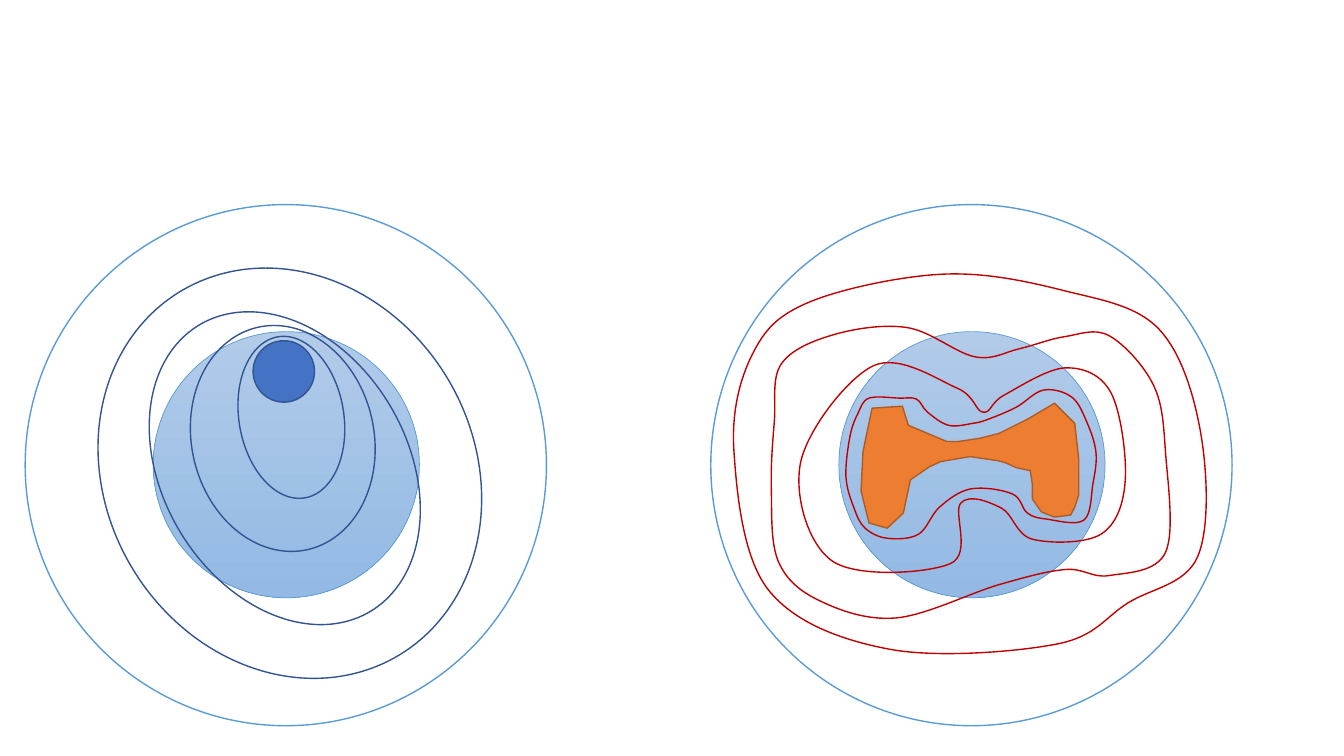
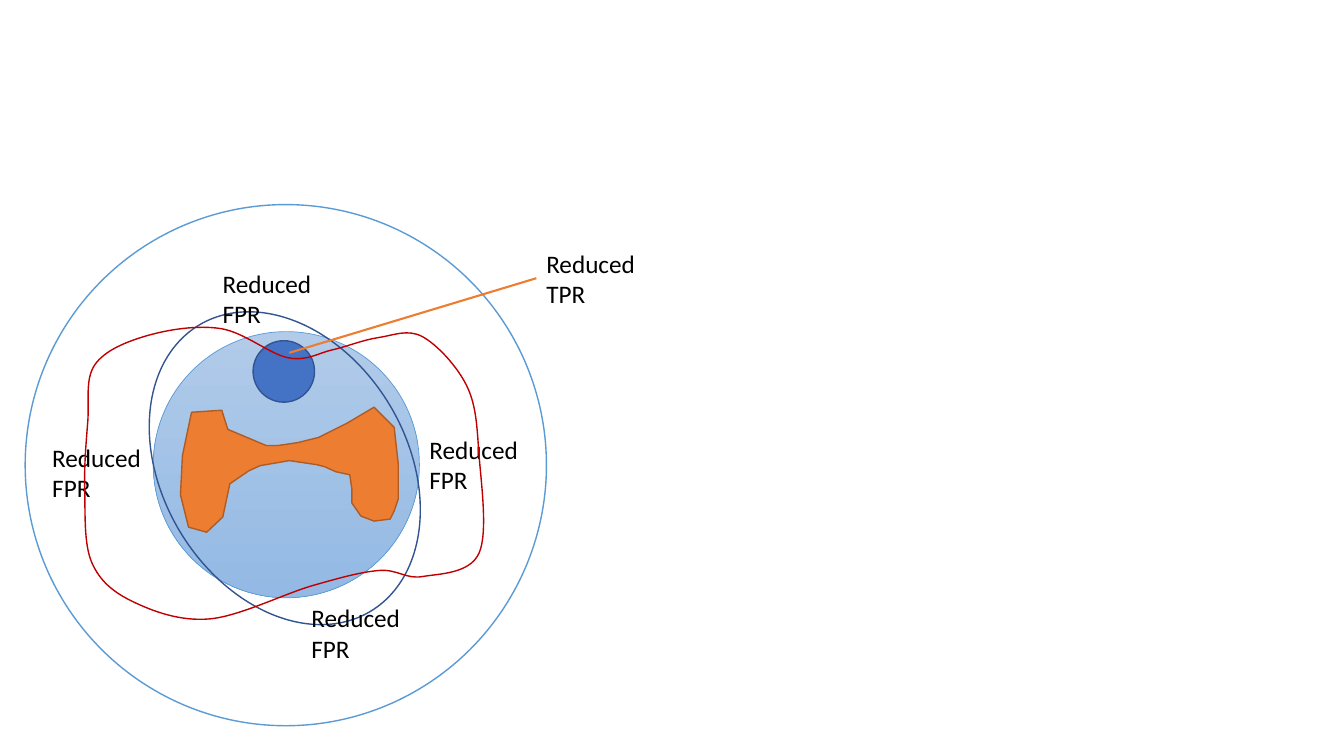
import pptx
import pptx.dml.color
import pptx.enum.shapes
import pptx.enum.text
import pptx.oxml.ns
import pptx.util
import lxml.etree

PX = 9144  # EMU per px, 100 px to the inch

THEME = {
    "looks": {
        "field": {"fill": "FFFFFF", "line": "5B9BD5", "width": 1},
        "cord": {"fill": ("B1CBE9", "93B9E4"), "line": "5B9BD5", "width": 0.5},
        "ellipse": {"fill": None, "line": "325491", "width": 1},
        "target": {"fill": "4472C4", "line": "325491", "width": 1},
        "grey_matter": {"fill": "ED7D31", "line": "AF5C24", "width": 1},
        "contour": {"fill": None, "line": "C00000", "width": 1},
    },
    "pointer": {"line": "ED7D31", "width": 1.5},
    "label": {"name": "Calibri", "size": pptx.util.Pt(18)},
    "label_color": "000000",
}


def paint(shape, look):
    """Give a shape its fill and outline."""
    shape.shadow.inherit = False
    fill = look["fill"]
    if fill is None:
        shape.fill.background()
    elif isinstance(fill, tuple):
        shape.fill.gradient()
        shape.fill.gradient_angle = 270
        for stop, position, color in zip(shape.fill.gradient_stops, (0, 1), fill):
            stop.position = position
            stop.color.rgb = pptx.dml.color.RGBColor.from_string(color)
    else:
        shape.fill.solid()
        shape.fill.fore_color.rgb = pptx.dml.color.RGBColor.from_string(fill)
    shape.line.color.rgb = pptx.dml.color.RGBColor.from_string(look["line"])
    shape.line.width = pptx.util.Pt(look["width"])


def bend(shape):
    """Turn the straight sides of a closed freeform into one smooth curve."""
    name = pptx.oxml.ns.qn
    outline = next(shape._element.iter(name("a:path")))
    anchors = [(int(point.get("x")), int(point.get("y"))) for point in outline.iter(name("a:pt"))]
    for side in outline.findall(name("a:lnTo")):
        outline.remove(side)
    closing = outline.find(name("a:close"))
    count = len(anchors)
    for index in range(count):
        before, start, end, after = (anchors[(index + step) % count] for step in (-1, 0, 1, 2))
        leaving = [b + (c - a) / 6 for a, b, c in zip(before, start, end)]
        arriving = [c - (d - b) / 6 for b, c, d in zip(start, end, after)]
        curve = lxml.etree.Element(name("a:cubicBezTo"))
        for x, y in (leaving, arriving, end):
            lxml.etree.SubElement(curve, name("a:pt"), x=str(round(x)), y=str(round(y)))
        closing.addprevious(curve)


# Outlines, in px
grey_matter = [
    (856, 448), (865, 405), (895, 403), (901, 422), (939, 438), (951, 438), (971, 435),
    (991, 430), (1019, 416), (1046, 400), (1066, 420), (1070, 456), (1070, 491),
    (1066, 503), (1062, 511), (1046, 513), (1033, 508), (1024, 495), (1024, 481),
    (1022, 467), (1008, 464), (997, 459), (989, 457), (962, 453), (933, 458), (922, 463),
    (903, 476), (896, 509), (880, 524), (862, 519), (854, 487),
]
tight_contour = [
    (941, 422), (920, 409), (909, 396), (892, 395), (862, 395), (851, 410), (843, 433),
    (839, 473), (847, 504), (858, 524), (880, 534), (911, 530), (932, 503), (963, 485),
    (1004, 490), (1019, 509), (1038, 515), (1075, 516), (1084, 480), (1087, 449),
    (1078, 419), (1063, 394), (1035, 387), (1008, 404), (980, 416), (965, 420),
]
near_contour = [
    (949, 385), (866, 363), (794, 459), (826, 557), (943, 559), (953, 499), (993, 504),
    (1024, 535), (1092, 530), (1116, 477), (1102, 390), (1057, 365), (996, 392), (975, 409),
]
wide_contour = [
    (967, 354), (900, 325), (827, 332), (775, 361), (768, 418), (765, 485), (772, 557),
    (813, 596), (889, 613), (991, 580), (1057, 565), (1100, 571), (1156, 548),
    (1156, 449), (1144, 382), (1100, 333), (1056, 334), (1011, 346),
]
outer_contour = [
    (935, 272), (802, 300), (746, 352), (728, 448), (762, 585), (882, 644), (1048, 639),
    (1119, 598), (1188, 552), (1191, 430), (1149, 326), (1054, 288),
]

# Ellipses: look, left, top, width, height, rotation
left_disc = [("field", 25, 203, 517, 517, 0), ("cord", 152, 329, 264, 264, 0)]
right_disc = [(look, left + 680, *rest) for look, left, *rest in left_disc]
wide_ellipse = ("ellipse", 161, 299, 243, 331, 329.2)
target = ("target", 251, 338, 61, 61, 0)

slides = [
    {
        "ellipses": [
            *left_disc,
            ("ellipse", 237, 333, 104, 162, 350.6),
            ("ellipse", 190, 322, 181, 226, 347.6),
            wide_ellipse,
            ("ellipse", 105, 259, 365, 421, 329.2),
            *right_disc,
            target,
        ],
        "labels": [],
        # Outlines: look, points, shift right, shift down
        "outlines": [
            ("grey_matter", grey_matter, 0, 0),
            ("contour", near_contour, 0, 0),
            ("contour", wide_contour, 0, 0),
            ("contour", tight_contour, 0, 0),
            ("contour", outer_contour, 0, 0),
        ],
        "pointers": [],
    },
    {
        "ellipses": [*left_disc, wide_ellipse, target],
        "labels": [
            ("FPR", 416, 426), ("FPR", 42, 434), ("FPR", 211, 261),
            ("FPR", 299, 593), ("TPR", 532, 241),
        ],
        "outlines": [
            ("grey_matter", grey_matter, -675, 4),
            ("contour", wide_contour, -681, 1),
        ],
        "pointers": [(287, 350, 532, 276)],
    },
]

presentation = pptx.Presentation()
presentation.slide_width = 1333 * PX
presentation.slide_height = 750 * PX

for content in slides:
    slide = presentation.slides.add_slide(presentation.slide_layouts[6])

    # Discs and ellipses
    for look, left, top, width, height, rotation in content["ellipses"]:
        shape = slide.shapes.add_shape(
            pptx.enum.shapes.MSO_SHAPE.OVAL, left * PX, top * PX, width * PX, height * PX)
        shape.rotation = rotation
        paint(shape, THEME["looks"][look])

    # Labels
    for rate, left, top in content["labels"]:
        label = slide.shapes.add_textbox(left * PX, top * PX, 116 * PX, 71 * PX)
        label.text_frame.word_wrap = True
        label.text_frame.auto_size = pptx.enum.text.MSO_AUTO_SIZE.SHAPE_TO_FIT_TEXT
        label.text_frame.text = f"Reduced\n{rate}"
        for paragraph in label.text_frame.paragraphs:
            font = paragraph.runs[0].font
            for attribute, value in THEME["label"].items():
                setattr(font, attribute, value)
            font.color.rgb = pptx.dml.color.RGBColor.from_string(THEME["label_color"])

    # Grey matter and contours
    for look, points, right, down in content["outlines"]:
        start, *others = [((x + right) * PX, (y + down) * PX) for x, y in points]
        builder = slide.shapes.build_freeform(*start)
        builder.add_line_segments(others, close=True)
        shape = builder.convert_to_shape()
        paint(shape, THEME["looks"][look])
        if look == "contour":
            bend(shape)

    # Pointers
    for ends in content["pointers"]:
        pointer = slide.shapes.add_connector(
            pptx.enum.shapes.MSO_CONNECTOR.STRAIGHT, *(end * PX for end in ends))
        pointer.line.color.rgb = pptx.dml.color.RGBColor.from_string(THEME["pointer"]["line"])
        pointer.line.width = pptx.util.Pt(THEME["pointer"]["width"])
        lxml.etree.SubElement(pointer._element.spPr, pptx.oxml.ns.qn("a:effectLst"))

presentation.save("out.pptx")
